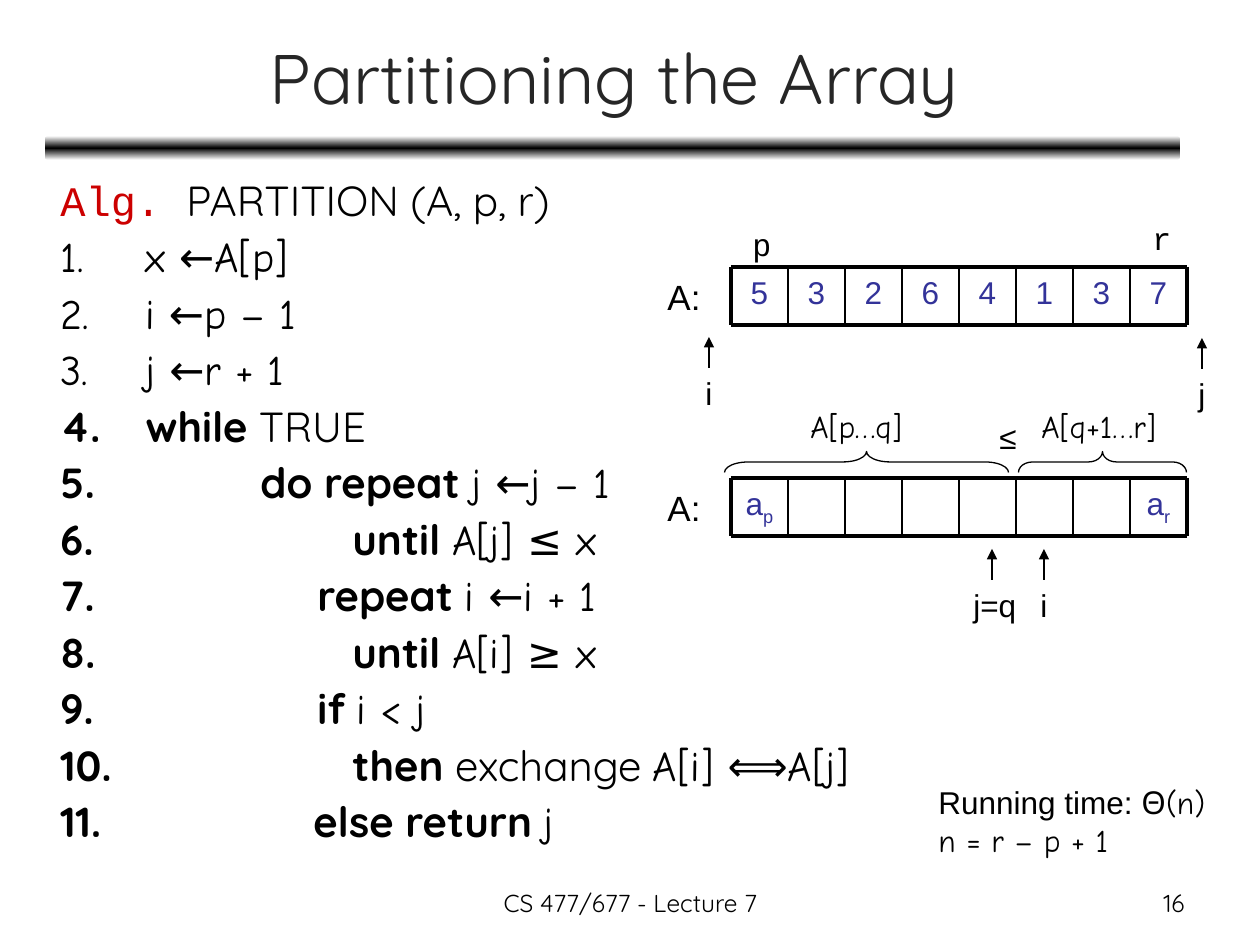
from copy import deepcopy

from pptx import Presentation
from pptx.dml.color import RGBColor
from pptx.enum.shapes import MSO_CONNECTOR, MSO_SHAPE
from pptx.enum.text import MSO_ANCHOR, PP_ALIGN
from pptx.oxml.ns import qn
from pptx.util import Inches, Pt
from lxml.etree import SubElement

PX = 7257  # EMU per pixel, 126 pixels to the inch
BLACK = RGBColor(0x00, 0x00, 0x00)
WHITE = RGBColor(0xFF, 0xFF, 0xFF)
CHARCOAL = RGBColor(0x26, 0x26, 0x26)
RED = RGBColor(0xCC, 0x00, 0x00)
BLUE = RGBColor(0x33, 0x33, 0x99)
SANS, HAND, CODE, ROUND = "Arial", "Comic Neue", "Courier New", "Quicksand"

deck = Presentation()
deck.slide_width, deck.slide_height = Inches(10), Inches(7.5)
page = deck.slides.add_slide(deck.slide_layouts[5])


def add_text(place, paragraphs, size=18, color=BLACK, align=PP_ALIGN.LEFT, wrap=False):
    """Add a text box; each paragraph is a list of (text, font, style) spans."""
    box = page.shapes.add_textbox(*[n * PX for n in place])
    frame = box.text_frame
    frame.word_wrap = wrap
    for number, spans in enumerate(paragraphs):
        para = frame.add_paragraph() if number else frame.paragraphs[0]
        para.alignment = align
        for text, font, style in spans:
            span = para.add_run()
            span.text = text
            span.font.name = font
            span.font.size = Pt(size)
            span.font.color.rgb = color
            span.font.bold = style == "bold"
            if style == "sub":
                span.font._element.set("baseline", "-25000")
    return frame


def add_line(x1, y1, x2, y2, width, arrow=False):
    line = page.shapes.add_connector(
        MSO_CONNECTOR.STRAIGHT, x1 * PX, y1 * PX, x2 * PX, y2 * PX)
    line.line.color.rgb = BLACK
    line.line.width = Pt(width)
    if arrow:
        SubElement(line.line._get_or_add_ln(), qn("a:tailEnd"), type="triangle")
    SubElement(line._element.spPr, qn("a:effectLst"))


# Title
title = page.shapes.title
title.left, title.top, title.width, title.height = 47 * PX, 14 * PX, 1134 * PX, 125 * PX
title.text_frame.vertical_anchor = MSO_ANCHOR.MIDDLE
para = title.text_frame.paragraphs[0]
para.alignment = PP_ALIGN.CENTER
span = para.add_run()
span.text = "Partitioning the Array"
span.font.name, span.font.size = ROUND, Pt(40)
span.font.color.rgb = CHARCOAL

# Bar under the title, fading from black to white on both sides
bar = page.shapes.add_shape(
    MSO_SHAPE.ROUNDED_RECTANGLE, 45 * PX, 136 * PX, 1135 * PX, 24 * PX)
bar.shadow.inherit = False
bar.line.fill.background()
bar.fill.gradient()
bar.fill.gradient_angle = 90
last_stop = bar._element.spPr.findall(".//" + qn("a:gs"))[-1]
last_stop.addnext(deepcopy(last_stop))
for stop, position, color in zip(bar.fill.gradient_stops, (0, 0.5, 1), (WHITE, BLACK, WHITE)):
    stop.position = position
    stop.color.rgb = color

# Algorithm: text indent of each numbered step, then its spans
steps = [
    (85, [("x ←A[p]", HAND, "")]),
    (85, [("i ←p – 1", HAND, "")]),
    (85, [("j ←r + 1", HAND, "")]),
    (85, [("while", ROUND, "bold"), (" TRUE", ROUND, "")]),
    (200, [("do repeat ", ROUND, "bold"), ("j ←j – 1", HAND, "")]),
    (292, [("until ", ROUND, "bold"), ("A[j] ≤ x", HAND, "")]),
    (257, [("repeat ", ROUND, "bold"), ("i ←i + 1", HAND, "")]),
    (292, [("until ", ROUND, "bold"), ("A[i] ≥ x", HAND, "")]),
    (257, [("if ", ROUND, "bold"), ("i < j", HAND, "")]),
    (292, [("then", ROUND, "bold"), (" exchange ", ROUND, ""), ("A[i] ⟺A[j]", HAND, "")]),
    (253, [("else return ", ROUND, "bold"), ("j", HAND, "")]),
]
heading = [("Alg. ", CODE, ""), ("PARTITION (A, p, r)", ROUND, "")]
algorithm = add_text((48, 168, 1134, 736), [heading] + [spans for _, spans in steps],
                     size=24, wrap=True)
algorithm.paragraphs[0].runs[0].font.color.rgb = RED
for para, (indent, _) in zip(algorithm.paragraphs[1:], steps):
    para.space_before = Pt(3.5)
    properties = para._p.get_or_add_pPr()
    properties.set("marL", str(indent * PX))
    properties.set("indent", str(-indent * PX))
    SubElement(properties, qn("a:buFont"), typeface=ROUND)
    SubElement(properties, qn("a:buAutoNum"), type="arabicPeriod")

# Both arrays: cell values, then the grid
LEFT, CELL, COUNT, HEIGHT = 731, 57, 8, 58
RIGHT = LEFT + CELL * COUNT
arrays = [
    (267, {column: [(digit, SANS, "")] for column, digit in enumerate("53264137")}),
    (478, {0: [("a", SANS, ""), ("p", SANS, "sub")],
           7: [("a", SANS, ""), ("r", SANS, "sub")]}),
]
for top, values in arrays:
    for column, spans in values.items():
        cell = add_text((LEFT + column * CELL, top, CELL, HEIGHT), [spans],
                        color=BLUE, align=PP_ALIGN.CENTER, wrap=True)
        cell.paragraphs[0].space_before = Pt(2)
    for y in (top, top + HEIGHT):
        add_line(LEFT, y, RIGHT, y, 2.25)
    for column in range(COUNT + 1):
        x = LEFT + column * CELL
        add_line(x, top, x, top + HEIGHT, 2.25 if column in (0, COUNT) else 1)
    add_text((655, top + 2, 58, 54), [[("A:", SANS, "")]], size=20)

# Index arrows
for x, bottom in ((709, 368), (1202, 369), (1044, 580), (992, 580)):
    add_line(x, bottom, x, bottom - 31, 0.75, arrow=True)

# Braces over the two parts
for x, y, length, bend in ((856, 320, 284, 1.125), (1092, 378, 168, 0.667)):
    brace = page.shapes.add_shape(MSO_SHAPE.LEFT_BRACE, x * PX, y * PX, 21 * PX, length * PX)
    brace.rotation = 90
    brace.adjustments[0] = bend
    brace.shadow.inherit = False
    brace.fill.background()
    brace.line.color.rgb = BLACK
    brace.line.width = Pt(0.75)

# Labels around the arrays
labels = [
    ("p", CODE, 740, 219, 39),
    ("r", CODE, 1140, 213, 35),
    ("i", SANS, 693, 368, 33),
    ("j", SANS, 1186, 369, 33),
    ("i", SANS, 1028, 580, 33),
    ("j=q", SANS, 961, 580, 68),
    ("A[p…q]", HAND, 798, 401, 126),
    ("A[q+1…r]", HAND, 1029, 401, 154),
    ("≤", SANS, 987, 412, 43),
]
for text, font, x, y, width in labels:
    add_text((x, y, width, 50), [[(text, font, "")]])

# Running time
add_text((926, 777, 296, 89), [
    [("Running time: ", SANS, ""), ("Θ(n)", HAND, "")],
    [("n = r – p + 1", HAND, "")],
])

# Footer and page number
add_text((431, 882, 399, 44), [[("CS 477/677 - Lecture 7", ROUND, "")]],
         size=14, align=PP_ALIGN.CENTER, wrap=True)
add_text((903, 882, 294, 44), [[("16", ROUND, "")]],
         size=14, align=PP_ALIGN.RIGHT, wrap=True)

deck.save("out.pptx")
